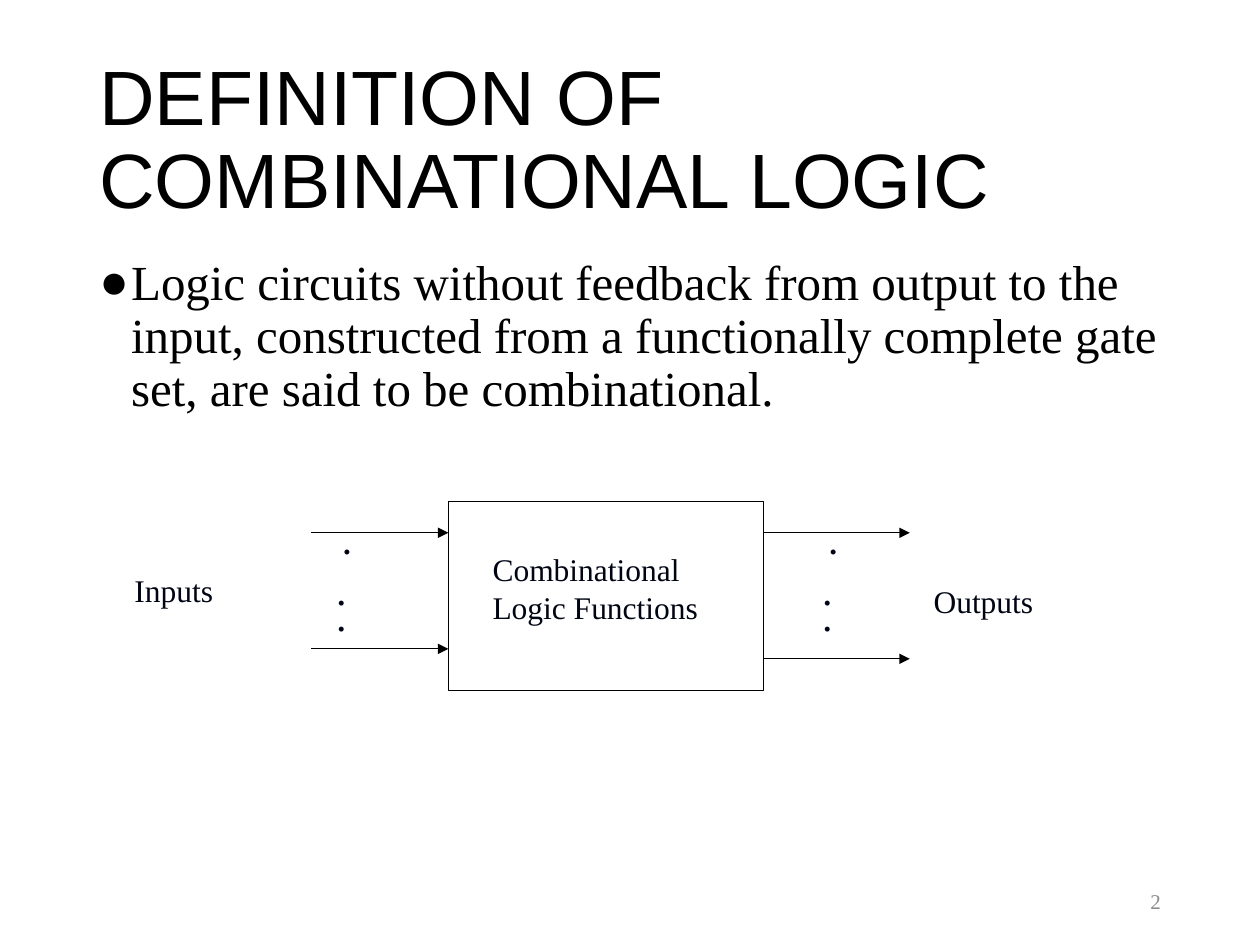
from lxml import etree
from pptx import Presentation
from pptx.dml.color import RGBColor
from pptx.enum.shapes import MSO_CONNECTOR, MSO_SHAPE
from pptx.enum.text import MSO_ANCHOR, MSO_AUTO_SIZE, PP_ALIGN
from pptx.oxml.ns import qn
from pptx.util import Cm, Pt

BLACK = RGBColor(0x00, 0x00, 0x00)
WHITE = RGBColor(0xFF, 0xFF, 0xFF)
INK = RGBColor(0x00, 0x05, 0x14)
GRAY = RGBColor(0x8C, 0x8C, 0x8C)
SERIF = "Times New Roman"


def add_run(p, text, size, color, font=SERIF):
    r = p.add_run()
    r.text = text
    r.font.size = Pt(size)
    r.font.name = font
    r.font.color.rgb = color


def add_label(text, x, y, w, h, size=18, color=INK, wrap=True):
    """Add a one-paragraph text box, measured in centimetres."""
    sp = s.shapes.add_textbox(Cm(x), Cm(y), Cm(w), Cm(h))
    sp.text_frame.word_wrap = wrap
    add_run(sp.text_frame.paragraphs[0], text, size, color)
    return sp


prs = Presentation()
prs.slide_width, prs.slide_height = Cm(25.4), Cm(19.05)
s = prs.slides.add_slide(prs.slide_layouts[1])

# Title and definition
title, body = s.placeholders
for sp, top, height in ((title, 1.02, 3.68), (body, 5.08, 12.09)):
    sp.left, sp.top, sp.width, sp.height = Cm(1.75), Cm(top), Cm(21.9), Cm(height)
    sp.text_frame.auto_size = MSO_AUTO_SIZE.NONE
    p = sp.text_frame.paragraphs[0]
    p.alignment = PP_ALIGN.LEFT
    p.line_spacing = 0.9

title.text_frame.vertical_anchor = MSO_ANCHOR.MIDDLE
add_run(title.text_frame.paragraphs[0], "DEFINITION OF COMBINATIONAL LOGIC", 44, BLACK, "Arial")

p = body.text_frame.paragraphs[0]
p.space_before = Pt(10)
add_run(p, "Logic circuits without feedback from output to the input, constructed from "
        "a functionally complete gate set, are said to be combinational.", 28, BLACK)
pPr = p._p.get_or_add_pPr()
pPr.set("marL", str(Cm(0.64)))
pPr.set("indent", str(-Cm(0.64)))
etree.SubElement(pPr, qn("a:buChar")).set("char", "●")

# Slide number
sp = add_label("2", 17.93, 17.65, 5.72, 1.02, 12, GRAY)
sp.text_frame.vertical_anchor = MSO_ANCHOR.MIDDLE
sp.text_frame.paragraphs[0].alignment = PP_ALIGN.RIGHT

# Logic block
block = s.shapes.add_shape(MSO_SHAPE.FLOWCHART_PROCESS, Cm(9.04), Cm(10.11), Cm(6.35), Cm(3.81))
block.shadow.inherit = False
block.fill.solid()
block.fill.fore_color.rgb = WHITE
block.line.color.rgb = BLACK
block.line.width = Pt(0.75)

# Input and output arrows
for x1, x2, y in ((6.27, 9.04, 10.74), (6.27, 9.04, 13.08),
                  (15.39, 18.34, 10.74), (15.39, 18.34, 13.28)):
    arrow = s.shapes.add_connector(MSO_CONNECTOR.STRAIGHT, Cm(x1), Cm(y), Cm(x2), Cm(y))
    arrow.line.color.rgb = BLACK
    arrow.line.width = Pt(0.75)
    etree.SubElement(arrow.line._get_or_add_ln(), qn("a:tailEnd")).set("type", "triangle")
    etree.SubElement(arrow.element.spPr, qn("a:effectLst"))

# Labels
add_label("Inputs", 2.46, 11.38, 3.61, 0.94)
add_label("Outputs", 18.57, 11.61, 3.61, 0.94)
add_label("Combinational Logic Functions", 9.68, 10.97, 4.88, 2.31)

# Dots between the arrows on each side
for x in (6.27, 16.07):
    sp = add_label("·", x, 10.74, 1.42, 1.07, 24)
    sp.element.txBody.bodyPr.set("vert", "eaVert")
    for y in (11.48, 12.01):
        add_label("·", x + 0.22, y, 1.02, 1.17, 24, wrap=False)

prs.save("out.pptx")
